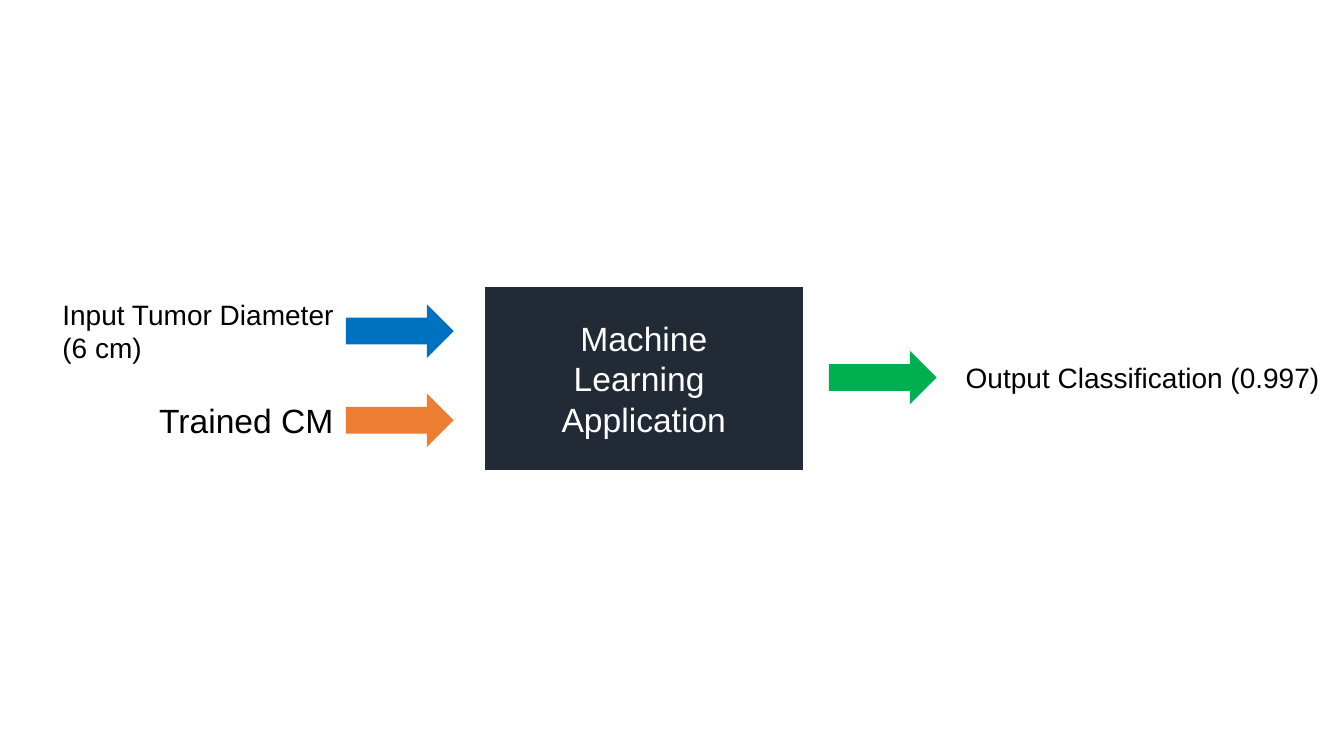
from pptx import Presentation
from pptx.dml.color import RGBColor
from pptx.enum.shapes import MSO_SHAPE
from pptx.enum.text import MSO_ANCHOR, MSO_AUTO_SIZE, PP_ALIGN
from pptx.util import Inches, Pt

PROCESS = MSO_SHAPE.FLOWCHART_PROCESS
RIGHT_ARROW = MSO_SHAPE.RIGHT_ARROW
MIDDLE = MSO_ANCHOR.MIDDLE
GROW = MSO_AUTO_SIZE.SHAPE_TO_FIT_TEXT
LEFT, CENTER = PP_ALIGN.LEFT, PP_ALIGN.CENTER

FONT = "Arial"
ARROW_WIDTH, ARROW_HEIGHT = 1.07, 0.53


def color(hex_value):
    return RGBColor.from_string(hex_value)


def write_lines(frame, lines, size, hex_value, align):
    for index, line in enumerate(lines):
        paragraph = frame.paragraphs[0] if index == 0 else frame.add_paragraph()
        paragraph.alignment = align
        run = paragraph.add_run()
        run.text = line
        run.font.name = FONT
        run.font.size = Pt(size)
        run.font.color.rgb = color(hex_value)


def add_label(slide, box, lines, size):
    label = slide.shapes.add_textbox(*map(Inches, box))
    frame = label.text_frame
    frame.word_wrap = False
    frame.auto_size = GROW
    write_lines(frame, lines, size, "000000", LEFT)


def add_filled(slide, kind, box, hex_value):
    filled = slide.shapes.add_shape(kind, *map(Inches, box))
    filled.shadow.inherit = False
    filled.fill.solid()
    filled.fill.fore_color.rgb = color(hex_value)
    filled.line.fill.background()
    return filled


def add_arrow(slide, left, top, hex_value):
    add_filled(slide, RIGHT_ARROW, (left, top, ARROW_WIDTH, ARROW_HEIGHT), hex_value)


def add_input(slide, box, lines, size, arrow_color):
    left, top, width, height = box
    add_label(slide, box, lines, size)
    add_arrow(slide, left + width, top + (height - ARROW_HEIGHT) / 2, arrow_color)


def add_application(slide, box):
    application = add_filled(slide, PROCESS, box, "222A35")
    frame = application.text_frame
    frame.word_wrap = False
    frame.vertical_anchor = MIDDLE
    write_lines(frame, ["Machine", "Learning ", "Application"], 24, "FFFFFF", CENTER)


def add_output(slide, box):
    left, top, width, height = box
    label_left, label_height = left + 1.26, 0.44
    add_arrow(slide, left, top + (height - ARROW_HEIGHT) / 2, "00B050")
    label_box = (label_left, top + (height - label_height) / 2,
                 left + width - label_left, label_height)
    add_label(slide, label_box, ["Output Classification (0.997)"], 20)


def main():
    presentation = Presentation()
    presentation.slide_width = Inches(13.33)
    presentation.slide_height = Inches(7.5)
    slide = presentation.slides.add_slide(presentation.slide_layouts[6])

    add_input(slide, (0.52, 2.9, 2.91, 0.77),
              ["Input Tumor Diameter", "(6 cm)"], 20, "0070C0")
    add_input(slide, (1.48, 3.92, 1.95, 0.5), ["Trained CM"], 24, "ED7D31")
    add_application(slide, (4.81, 2.85, 3.15, 1.81))
    add_output(slide, (8.22, 3.48, 5, 0.53))

    presentation.save("out.pptx")


if __name__ == "__main__":
    main()
